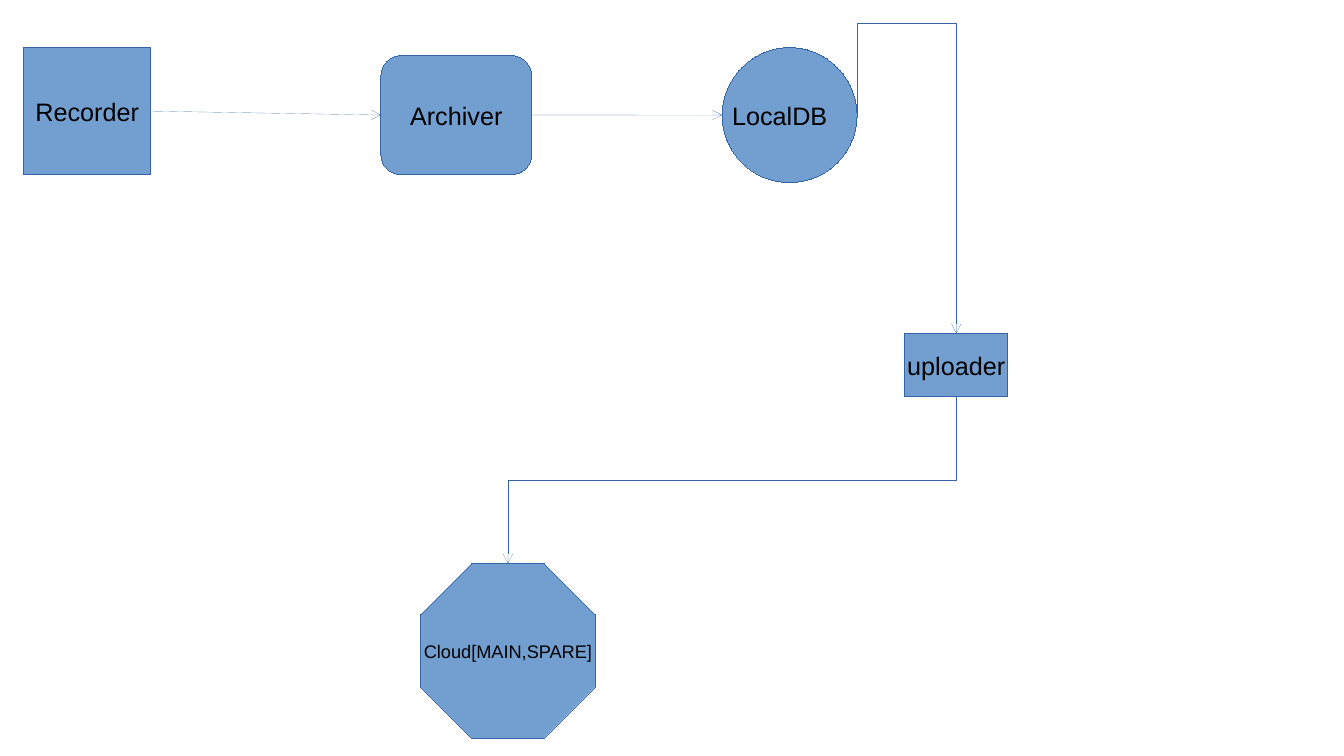
from dataclasses import dataclass

from lxml import etree
from pptx import Presentation
from pptx import util as u
from pptx.dml import color
from pptx.enum import shapes, text
from pptx.oxml import ns


@dataclass(frozen=True)
class Theme:
    fill: str = "729FCF"
    line: str = "3465A4"
    ink: str = "000000"
    font: str = "Arial"
    label: int = 18
    small: int = 13


@dataclass(frozen=True)
class Box:
    left: float
    top: float
    width: float
    height: float

    def inner(self, left, top, width, height):
        return Box(self.left + left, self.top + top, width, height)

    def lengths(self):
        return [u.Cm(n) for n in (self.left, self.top, self.width, self.height)]

    def side(self, across, down):
        return self.left + self.width * across, self.top + self.height * down


THEME = Theme()
KIND = shapes.MSO_SHAPE
RIGHT, LEFT = 3, 1


def rgb(value):
    return color.RGBColor.from_string(value)


def write(frame, words, size=THEME.label, align=text.PP_ALIGN.CENTER,
          anchor=text.MSO_ANCHOR.MIDDLE, wrap=False):
    frame.word_wrap = wrap
    frame.vertical_anchor = anchor
    para = frame.paragraphs[0]
    para.alignment = align
    span = para.add_run()
    span.text = words
    span.font.size = u.Pt(size)
    span.font.name = THEME.font
    span.font.color.rgb = rgb(THEME.ink)


def hairline(item):
    item.line.color.rgb = rgb(THEME.line)
    stroke = item.element.spPr.find(ns.qn("a:ln"))
    stroke.set("w", "0")
    return stroke


def add_node(page, kind, box, words="", **style):
    node = page.shapes.add_shape(kind, *box.lengths())
    node.shadow.inherit = False
    node.fill.solid()
    node.fill.fore_color.rgb = rgb(THEME.fill)
    hairline(node)
    if words:
        write(node.text_frame, words, **style)
    return node


def add_arrow(page, kind, start, end):
    arrow = page.shapes.add_connector(kind, *[u.Cm(n) for n in (*start, *end)])
    etree.SubElement(hairline(arrow), ns.qn("a:tailEnd"), type="arrow")
    etree.SubElement(arrow.element.spPr, ns.qn("a:effectLst"))
    return arrow


def add_vertical_elbow(page, start, end, bend):
    across, down = end[0] - start[0], end[1] - start[1]
    middle_x, middle_y = (start[0] + end[0]) / 2, (start[1] + end[1]) / 2
    turn = 270 if across > 0 else 90
    reach = -down / 2 if turn == 270 else down / 2
    rise = abs(across) / 2
    elbow = add_arrow(page, shapes.MSO_CONNECTOR.ELBOW,
                      (middle_x - reach, middle_y - rise),
                      (middle_x + reach, middle_y + rise))
    properties = elbow.element.spPr
    properties.find(ns.qn("a:xfrm")).set("rot", str(turn * 60000))
    guides = properties.find(ns.qn("a:prstGeom")).get_or_add_avLst()
    etree.SubElement(guides, ns.qn("a:gd"), name="adj1",
                     fmla=f"val {round(bend * 100000)}")


def recording_row(page, box):
    recorder_box = box.inner(0, 0, 3.2, 3.2)
    archiver_box = box.inner(9, 0.2, 3.8, 3)
    database_box = box.inner(17.6, 0, 3.4, 3.4)
    recorder = add_node(page, KIND.RECTANGLE, recorder_box, "Recorder")
    archiver = add_node(page, KIND.ROUNDED_RECTANGLE, archiver_box, "Archiver")
    add_node(page, KIND.OVAL, database_box)
    label = page.shapes.add_textbox(*database_box.inner(0, 1.2, 3.4, 1.68).lengths())
    write(label.text_frame, "LocalDB", align=text.PP_ALIGN.LEFT,
          anchor=text.MSO_ANCHOR.TOP, wrap=True)

    straight = shapes.MSO_CONNECTOR.STRAIGHT
    archive = add_arrow(page, straight, recorder_box.side(1, 0.5), archiver_box.side(0, 0.5))
    archive.begin_connect(recorder, RIGHT)
    archive.end_connect(archiver, LEFT)
    store = add_arrow(page, straight, archiver_box.side(1, 0.5), database_box.side(0, 0.5))
    store.begin_connect(archiver, RIGHT)
    return database_box.side(1, 0.5)


def upload_route(page, box, source):
    cloud_box = box.inner(0, 5.8, 4.4, 4.4)
    uploader_box = box.inner(12.2, 0, 2.6, 1.6)
    add_node(page, KIND.OCTAGON, cloud_box, "Cloud[MAIN,SPARE]", size=THEME.small)
    add_node(page, KIND.RECTANGLE, uploader_box, "uploader")
    add_vertical_elbow(page, source, uploader_box.side(0.5, 0), -0.42)
    add_vertical_elbow(page, uploader_box.side(0.5, 1), cloud_box.side(0.5, 0), 0.5)


def main():
    deck = Presentation()
    deck.slide_width, deck.slide_height = u.Cm(33.87), u.Cm(19.05)
    page = deck.slides.add_slide(deck.slide_layouts[6])
    source = recording_row(page, Box(0.6, 1.2, 21, 3.4))
    upload_route(page, Box(10.6, 8.4, 14.8, 10.2), source)
    deck.save("out.pptx")


if __name__ == "__main__":
    main()
